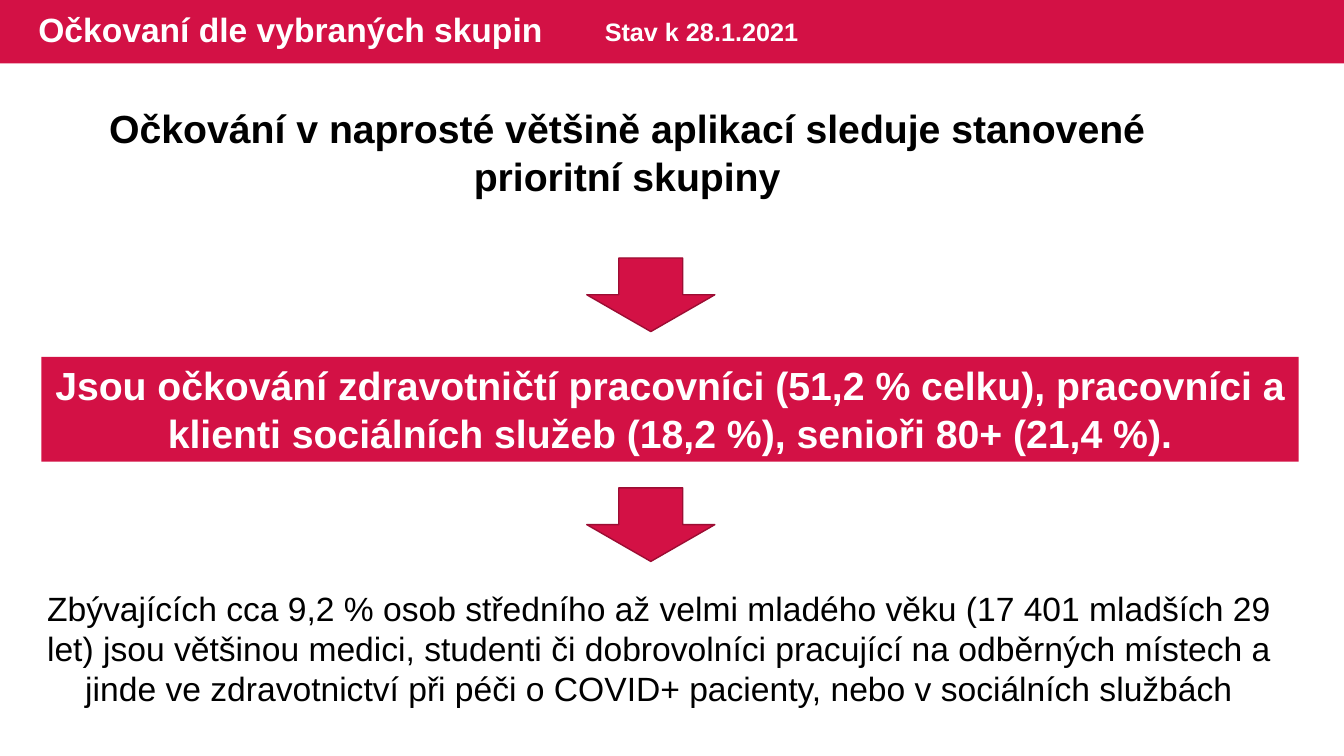
from pptx import Presentation
from pptx.dml.color import RGBColor
from pptx.enum.shapes import MSO_SHAPE as Preset
from pptx.enum.text import MSO_ANCHOR as Anchor, MSO_AUTO_SIZE as AutoSize, PP_ALIGN as Align
from pptx.util import Inches, Pt

WIDTH, HEIGHT = 13.33, 7.5
BAR_HEIGHT = 0.63
ARROW_LEFT, ARROW_WIDTH, ARROW_HEIGHT = 5.82, 1.27, 0.73
ARROW_TOPS = (2.56, 4.84)
COLORS = {"red": "D31145", "dark_red": "9C0D33", "white": "FFFFFF", "black": "000000"}


def color(name):
    return RGBColor.from_string(COLORS[name])


def place(shape, box):
    shape.left, shape.top, shape.width, shape.height = map(Inches, box)


def write(shape, text, size, color_name, bold=True, align=Align.CENTER, anchor=Anchor.TOP):
    frame = shape.text_frame
    frame.word_wrap = True
    frame.auto_size = AutoSize.NONE
    frame.vertical_anchor = anchor
    paragraph = frame.paragraphs[0]
    paragraph.alignment = align
    run = paragraph.add_run()
    run.text = text
    run.font.name = "Arial"
    run.font.size = Pt(size)
    run.font.bold = bold
    run.font.color.rgb = color(color_name)
    return paragraph


def add_block(slide, preset, box, line=None):
    shape = slide.shapes.add_shape(preset, *map(Inches, box))
    shape.shadow.inherit = False
    shape.fill.solid()
    shape.fill.fore_color.rgb = color("red")
    if line:
        shape.line.color.rgb = color(line)
        shape.line.width = Pt(1)
    else:
        shape.line.fill.background()
    return shape


def add_text(slide, box, *content, **style):
    write(slide.shapes.add_textbox(*map(Inches, box)), *content, **style)


def add_header(slide):
    title = slide.shapes.title
    place(title, (0.28, 0, 8.13, BAR_HEIGHT))
    paragraph = write(title, "Očkovaní dle vybraných skupin", 24, "white",
                      align=Align.LEFT, anchor=Anchor.MIDDLE)
    paragraph.line_spacing = 0.9
    # The bar lies behind the title
    bar = add_block(slide, Preset.RECTANGLE, (0, 0, WIDTH, BAR_HEIGHT))
    title.element.addprevious(bar.element)
    add_text(slide, (5.9, 0.11, 2.96, 0.4), "Stav k 28.1.2021", 18, "white", align=Align.LEFT)


def main():
    presentation = Presentation()
    presentation.slide_width, presentation.slide_height = Inches(WIDTH), Inches(HEIGHT)
    slide = presentation.slides.add_slide(presentation.slide_layouts[5])
    add_header(slide)

    # Opening statement
    add_text(slide, (0.38, 0.99, 11.68, 1.04),
             "Očkování v naprosté většině aplikací sleduje stanovené prioritní skupiny",
             28, "black")

    # Arrows between the statements
    for top in ARROW_TOPS:
        add_block(slide, Preset.DOWN_ARROW, (ARROW_LEFT, top, ARROW_WIDTH, ARROW_HEIGHT),
                  line="dark_red")

    # Highlighted shares
    shares = add_block(slide, Preset.RECTANGLE, (0.41, 3.54, 12.47, 1.04))
    write(shares, "Jsou očkování zdravotničtí pracovníci (51,2 % celku), pracovníci a "
          "klienti sociálních služeb (18,2 %), senioři 80+ (21,4 %).", 28, "white")

    # Remaining group
    add_text(slide, (0.25, 5.78, 12.57, 1.31),
             "Zbývajících cca 9,2 % osob středního až velmi mladého věku (17 401 mladších 29 "
             "let) jsou většinou medici, studenti či dobrovolníci pracující na odběrných "
             "místech a jinde ve zdravotnictví při péči o COVID+ pacienty, nebo v sociálních "
             "službách", 24, "black", bold=False)

    presentation.save("out.pptx")


if __name__ == "__main__":
    main()
